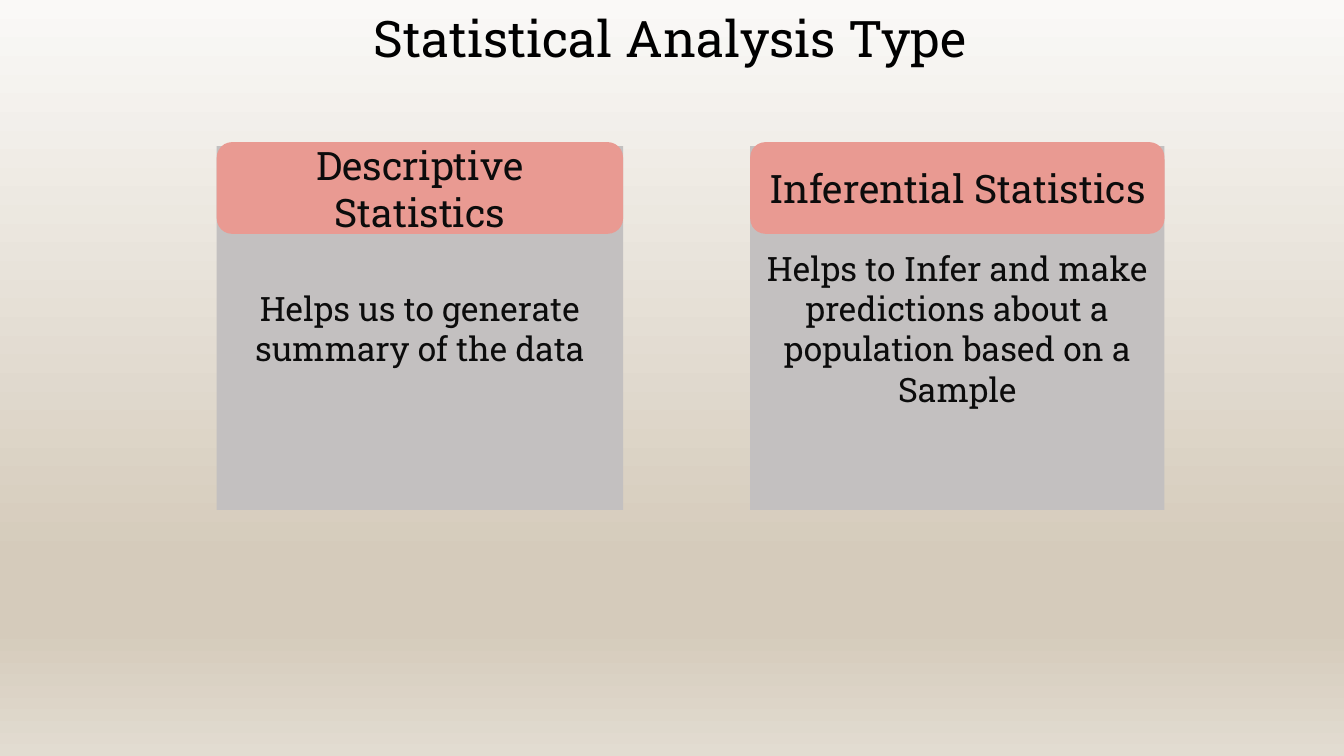
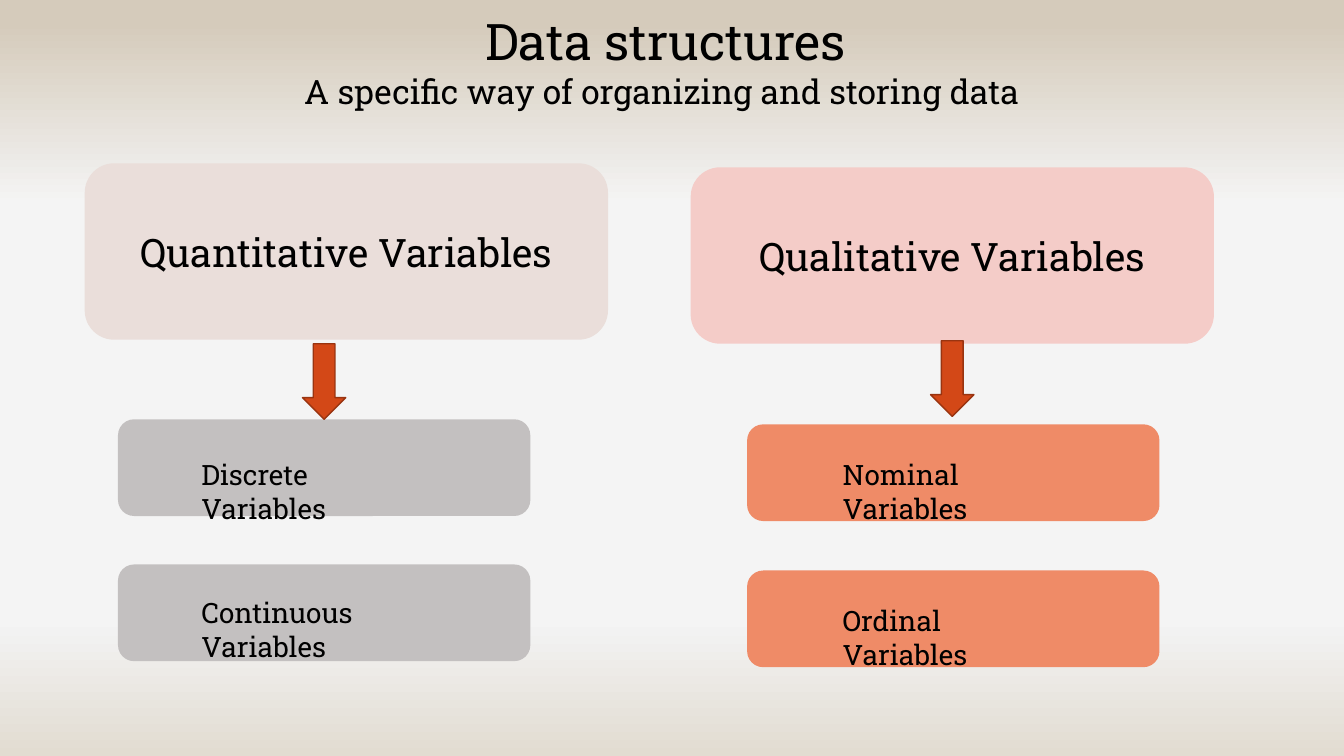
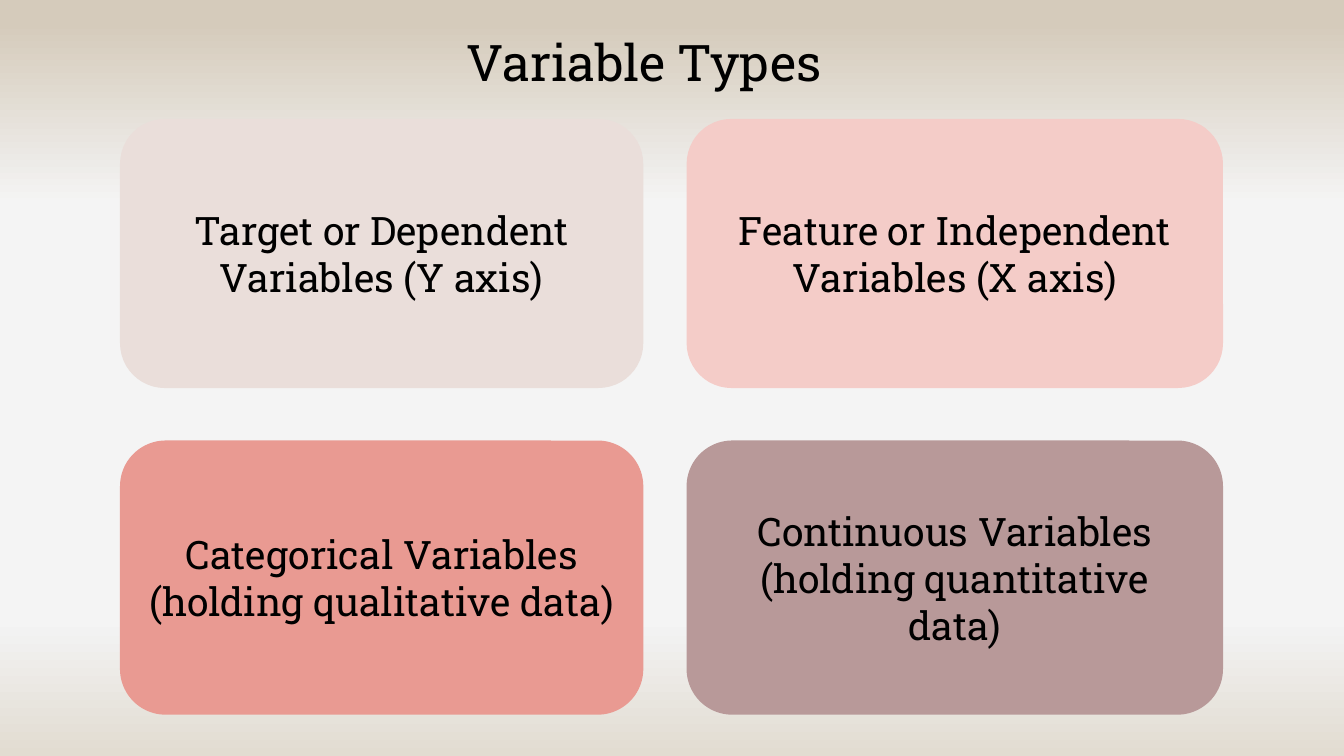
import dataclasses

import lxml.etree
import pptx
import pptx.dml.color
import pptx.enum.shapes
import pptx.enum.text
import pptx.oxml.ns
import pptx.util

Inches = pptx.util.Inches
Kind = pptx.enum.shapes.MSO_SHAPE
Align = pptx.enum.text.PP_ALIGN
Anchor = pptx.enum.text.MSO_ANCHOR


@dataclasses.dataclass(frozen=True)
class Theme:
    face: str = "Roboto Slab"
    black: str = "000000"
    ink: str = "0C0C0C"
    gray: str = "C3C0C0"
    coral: str = "E99A92"
    blush: str = "EADEDA"
    pink: str = "F4CCC8"
    mauve: str = "B89999"
    orange: str = "EF8B67"
    arrow: str = "D34817"
    edge: str = "993410"
    title: int = 36
    head: int = 28
    body: int = 24
    label: int = 20
    warm: tuple = ((0, "FAF9F7"), (74, "D5CBBB"), (83, "D5CBBB"), (100, "E2DCD1"))
    pale: tuple = ((0, "D5CBBB"), (3, "D5CBBB"), (27, "F4F4F4"),
                   (83, "F2F2F2"), (100, "E2DCD1"))


THEME = Theme()


def color(code):
    return pptx.dml.color.RGBColor.from_string(code)


def add_slide(deck, stops):
    slide = deck.slides.add_slide(deck.slide_layouts[6])
    fill = slide.background.fill
    fill.gradient()
    fill.gradient_angle = 270
    tag = pptx.oxml.ns.qn
    ramp = next(slide.element.iter(tag("a:gsLst")))
    for stop in list(ramp):
        ramp.remove(stop)
    for place, code in stops:
        stop = lxml.etree.SubElement(ramp, tag("a:gs"), pos=str(place * 1000))
        lxml.etree.SubElement(stop, tag("a:srgbClr"), val=code)
    return slide


def write(frame, lines, align, ink=THEME.black):
    frame.word_wrap = True
    for index, (text, size) in enumerate(lines):
        para = frame.add_paragraph() if index else frame.paragraphs[0]
        para.text = text
        para.alignment = align
        para.font.name = THEME.face
        para.font.size = pptx.util.Pt(size)
        para.font.color.rgb = color(ink)


def add_text(slide, box, lines, align=Align.LEFT):
    area = slide.shapes.add_textbox(*map(Inches, box))
    write(area.text_frame, lines, align)


def add_shape(slide, kind, box, fill):
    shape = slide.shapes.add_shape(kind, *map(Inches, box))
    shape.shadow.inherit = False
    shape.fill.solid()
    shape.fill.fore_color.rgb = color(fill)
    shape.line.fill.background()
    return shape


def add_card(slide, box, fill, lines=(), size=THEME.head,
             ink=THEME.black, kind=Kind.ROUNDED_RECTANGLE):
    card = add_shape(slide, kind, box, fill)
    card.text_frame.vertical_anchor = Anchor.MIDDLE
    write(card.text_frame, [(line, size) for line in lines], Align.CENTER, ink)


def add_arrow(slide, left, top):
    arrow = add_shape(slide, Kind.DOWN_ARROW, (left, top, 0.43, 0.75), THEME.arrow)
    arrow.line.color.rgb = color(THEME.edge)
    arrow.line.width = pptx.util.Pt(1)


def add_panel(slide, left, width, head, body):
    add_card(slide, (left, 1.45, width, 3.61), THEME.gray, [body],
             THEME.body, THEME.ink, Kind.RECTANGLE)
    add_card(slide, (left, 1.41, width, 0.91), THEME.coral, [head], ink=THEME.ink)


def add_branch(slide, head, box, fill, tint, left, tops, labels, arrow):
    add_card(slide, box, fill, [head])
    for top, (text, *place) in zip(tops, labels):
        add_card(slide, (left, top, 4.09, 0.96), tint)
        add_text(slide, (*place, 0.44), [(text, THEME.label)])
    add_arrow(slide, *arrow)


def show_kinds(deck):
    slide = add_slide(deck, THEME.warm)
    add_text(slide, (3.61, 0.02, 7.6, 0.71),
             [("Statistical Analysis Type", THEME.title)])
    add_panel(slide, 2.15, 4.03, "Descriptive Statistics",
              "Helps us to generate summary of the data")
    add_panel(slide, 7.44, 4.11, "Inferential Statistics",
              "Helps to Infer and make predictions about a population based on a Sample")


def show_data(deck):
    slide = add_slide(deck, THEME.pale)
    add_text(slide, (2.84, 0.05, 7.53, 1.11),
             [("Data structures", THEME.title),
              ("A specific way of organizing and storing data ", THEME.body)],
             Align.CENTER)
    add_branch(slide, "Quantitative Variables", (0.84, 1.62, 5.19, 1.75),
               THEME.blush, THEME.gray, 1.17, (4.16, 5.6),
               (("Discrete Variables", 1.9, 4.49, 2.54),
                ("Continuous Variables", 1.9, 5.86, 2.93)), (3, 3.41))
    add_branch(slide, "Qualitative Variables", (6.85, 1.66, 5.19, 1.75),
               THEME.pink, THEME.orange, 7.41, (4.21, 5.66),
               (("Nominal Variables", 8.26, 4.49, 2.55),
                ("Ordinal Variables", 8.26, 5.94, 2.45)), (9.23, 3.38))


def show_types(deck):
    slide = add_slide(deck, THEME.pale)
    add_text(slide, (4.53, 0.26, 4.22, 1.31), [("Variable Types", THEME.title)])
    columns = ((1.19, 5.19), (6.81, 5.32))
    rows = ((1.18, 2.67), (4.37, 2.72))
    cards = (
        (THEME.blush, ["Target or Dependent Variables (Y axis)"]),
        (THEME.pink, ["Feature or Independent Variables (X axis)"]),
        (THEME.coral, ["Categorical Variables", "(holding qualitative data)"]),
        (THEME.mauve, ["Continuous Variables (holding quantitative data)"]),
    )
    for index, (fill, lines) in enumerate(cards):
        left, width = columns[index % 2]
        top, height = rows[index // 2]
        add_card(slide, (left, top, width, height), fill, lines)


def main():
    deck = pptx.Presentation()
    deck.slide_width = Inches(13.33)
    deck.slide_height = Inches(7.5)
    show_kinds(deck)
    show_data(deck)
    show_types(deck)
    deck.save("out.pptx")


if __name__ == "__main__":
    main()
